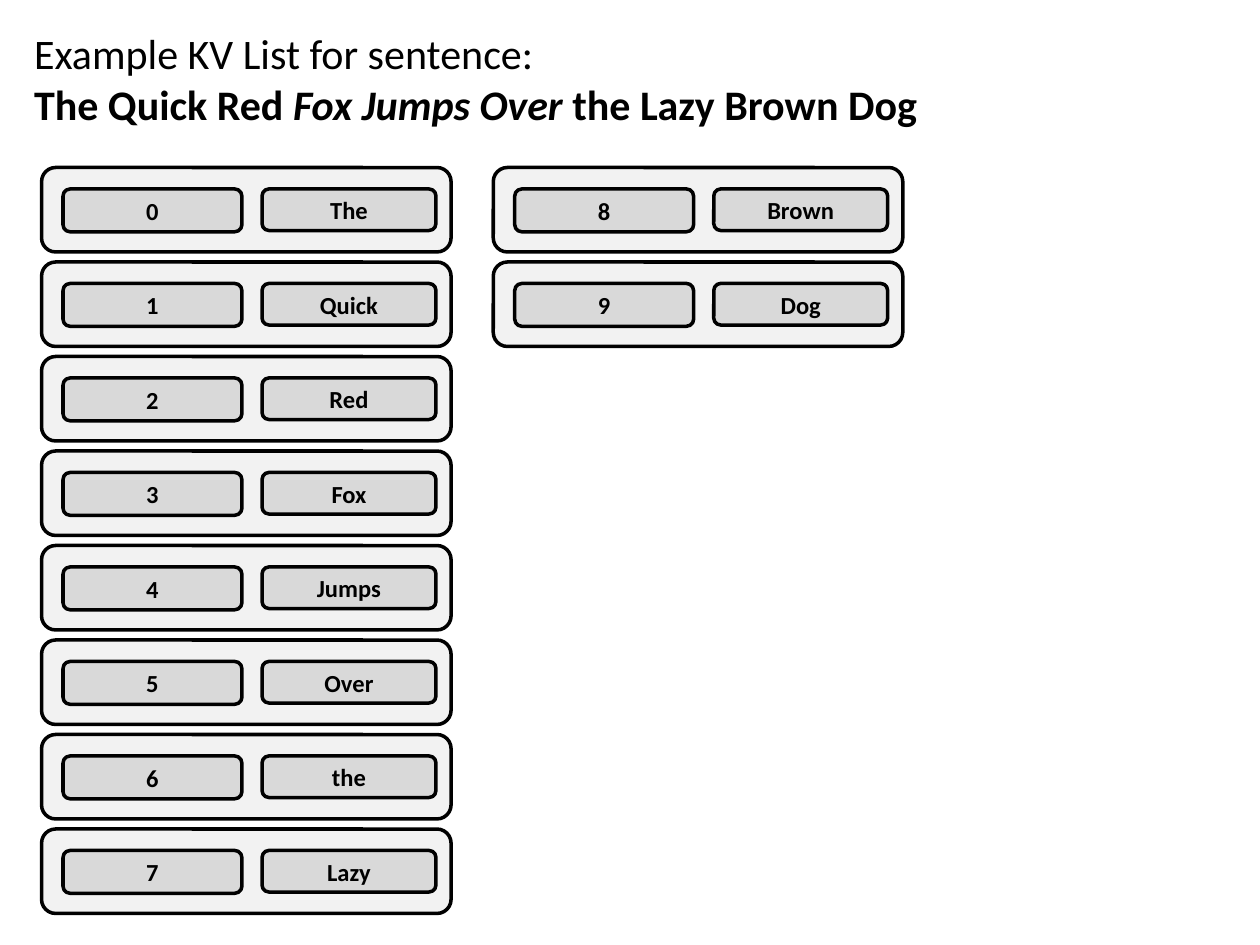
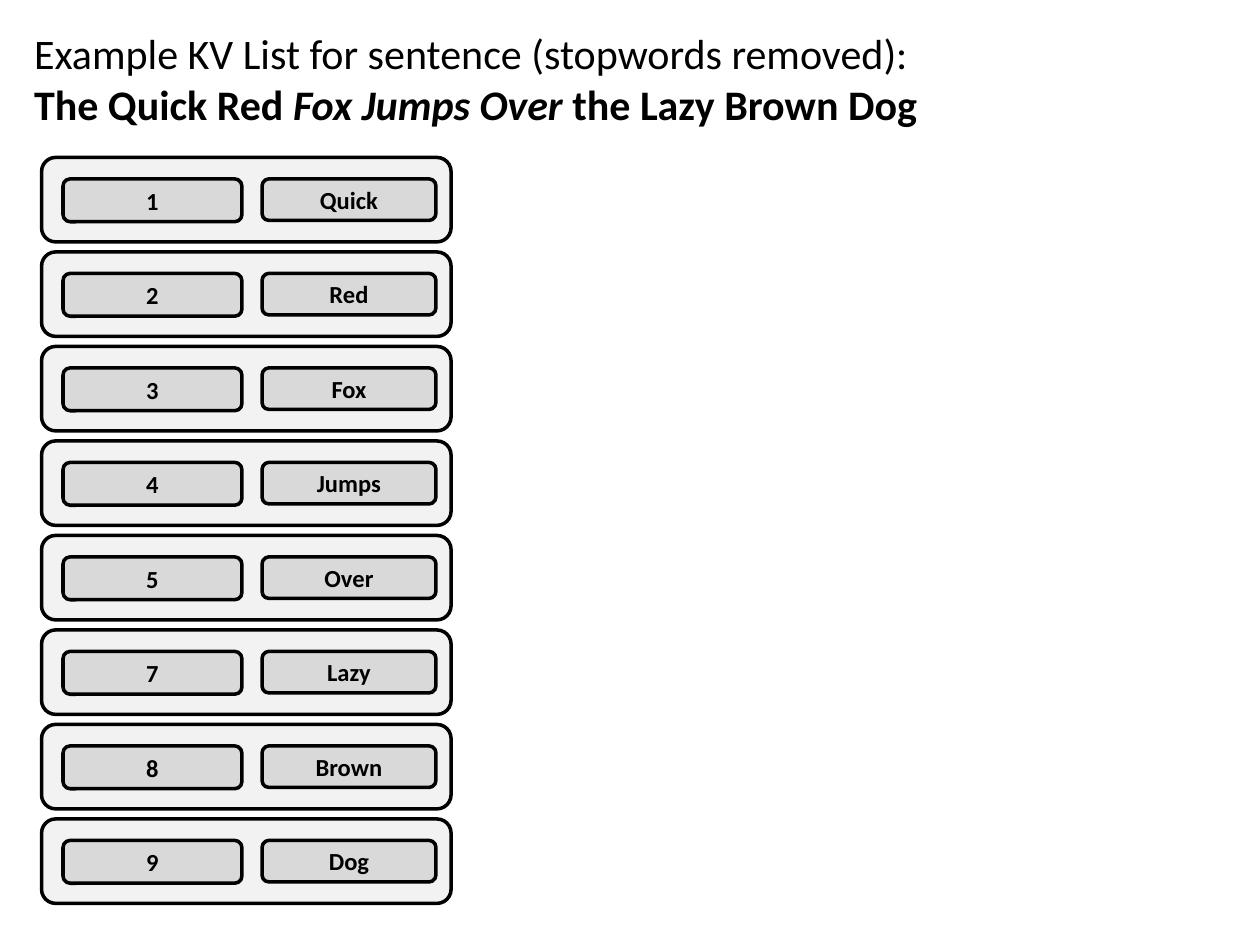
from dataclasses import dataclass

from pptx import Presentation
from pptx import util as u
from pptx.dml.color import RGBColor
from pptx.enum import shapes, text
from pptx.slide import Slide

FONT = "Calibri"
INK = "000000"
PAIR_FILL = "F2F2F2"
FIELD_FILL = "D9D9D9"

ROWS_PER_COLUMN = 8
LEFT, COLUMN_STEP, ROW_STEP = 0.33, 3.585, 0.75
PAIR_WIDTH, PAIR_HEIGHT = 3.25, 0.67
FIELD_INSET = 0.17
KEY_WIDTH, KEY_HEIGHT = 1.42, 0.34
VALUE_OFFSET, VALUE_WIDTH, VALUE_HEIGHT = 1.75, 1.38, 0.33

SENTENCE = "The Quick Red Fox Jumps Over the Lazy Brown Dog"
SENTENCE_PARTS = [
    ("The Quick Red ", False),
    ("Fox Jumps Over", True),
    (" the Lazy Brown Dog", False),
]
STOPWORDS = {"the"}


@dataclass
class Pair:
    key: int
    value: str


@dataclass
class Box:
    left: float
    top: float
    width: float
    height: float


@dataclass
class KVList:
    heading: str
    top: float
    pairs: list[Pair]


def color(hex_code: str) -> RGBColor:
    return RGBColor.from_string(hex_code)


def style_font(font, size: int, bold: bool, italic: bool = False) -> None:
    font.name = FONT
    font.size = u.Pt(size)
    font.bold = bold
    font.italic = italic
    font.color.rgb = color(INK)


def draw_title(slide: Slide, heading: str) -> None:
    title = slide.shapes.title
    title.left, title.top = u.Inches(0.17), u.Inches(0.17)
    title.width, title.height = u.Inches(9.42), u.Inches(0.91)
    frame = title.text_frame
    frame.word_wrap = True
    frame.auto_size = text.MSO_AUTO_SIZE.SHAPE_TO_FIT_TEXT
    frame.vertical_anchor = text.MSO_ANCHOR.TOP
    frame.text = heading
    style_font(frame.paragraphs[0].runs[0].font, 24, bold=False)
    sentence = frame.add_paragraph()
    for words, italic in SENTENCE_PARTS:
        run = sentence.add_run()
        run.text = words
        style_font(run.font, 24, bold=True, italic=italic)
    for paragraph in frame.paragraphs:
        paragraph.alignment = text.PP_ALIGN.LEFT


def draw_box(slide: Slide, box: Box, fill: str, label: str = "") -> None:
    shape = slide.shapes.add_shape(
        shapes.MSO_SHAPE.ROUNDED_RECTANGLE,
        u.Inches(box.left),
        u.Inches(box.top),
        u.Inches(box.width),
        u.Inches(box.height),
    )
    shape.shadow.inherit = False
    shape.fill.solid()
    shape.fill.fore_color.rgb = color(fill)
    shape.line.color.rgb = color(INK)
    shape.line.width = u.Pt(2)
    if label:
        frame = shape.text_frame
        frame.text = label
        frame.vertical_anchor = text.MSO_ANCHOR.MIDDLE
        frame.paragraphs[0].alignment = text.PP_ALIGN.CENTER
        style_font(frame.paragraphs[0].runs[0].font, 14, bold=True)


def draw_pair(slide: Slide, pair: Pair, left: float, top: float) -> None:
    field_top = top + FIELD_INSET
    draw_box(slide, Box(left, top, PAIR_WIDTH, PAIR_HEIGHT), PAIR_FILL)
    draw_box(
        slide,
        Box(left + FIELD_INSET, field_top, KEY_WIDTH, KEY_HEIGHT),
        FIELD_FILL,
        str(pair.key),
    )
    draw_box(
        slide,
        Box(left + VALUE_OFFSET, field_top, VALUE_WIDTH, VALUE_HEIGHT),
        FIELD_FILL,
        pair.value,
    )


def draw_list(deck, kv_list: KVList) -> None:
    title_only = deck.slide_layouts[5]
    slide = deck.slides.add_slide(title_only)
    draw_title(slide, kv_list.heading)
    for index, pair in enumerate(kv_list.pairs):
        column, row = divmod(index, ROWS_PER_COLUMN)
        draw_pair(
            slide,
            pair,
            LEFT + column * COLUMN_STEP,
            kv_list.top + row * ROW_STEP,
        )


def main() -> None:
    deck = Presentation()
    deck.slide_width, deck.slide_height = u.Inches(10), u.Inches(7.5)
    all_pairs = [Pair(key, word) for key, word in enumerate(SENTENCE.split())]
    kept_pairs = [p for p in all_pairs if p.value.lower() not in STOPWORDS]
    kv_lists = [
        KVList("Example KV List for sentence:", 1.33, all_pairs),
        KVList(
            "Example KV List for sentence (stopwords removed):", 1.25, kept_pairs
        ),
    ]
    for kv_list in kv_lists:
        draw_list(deck, kv_list)
    deck.save("out.pptx")


main()
